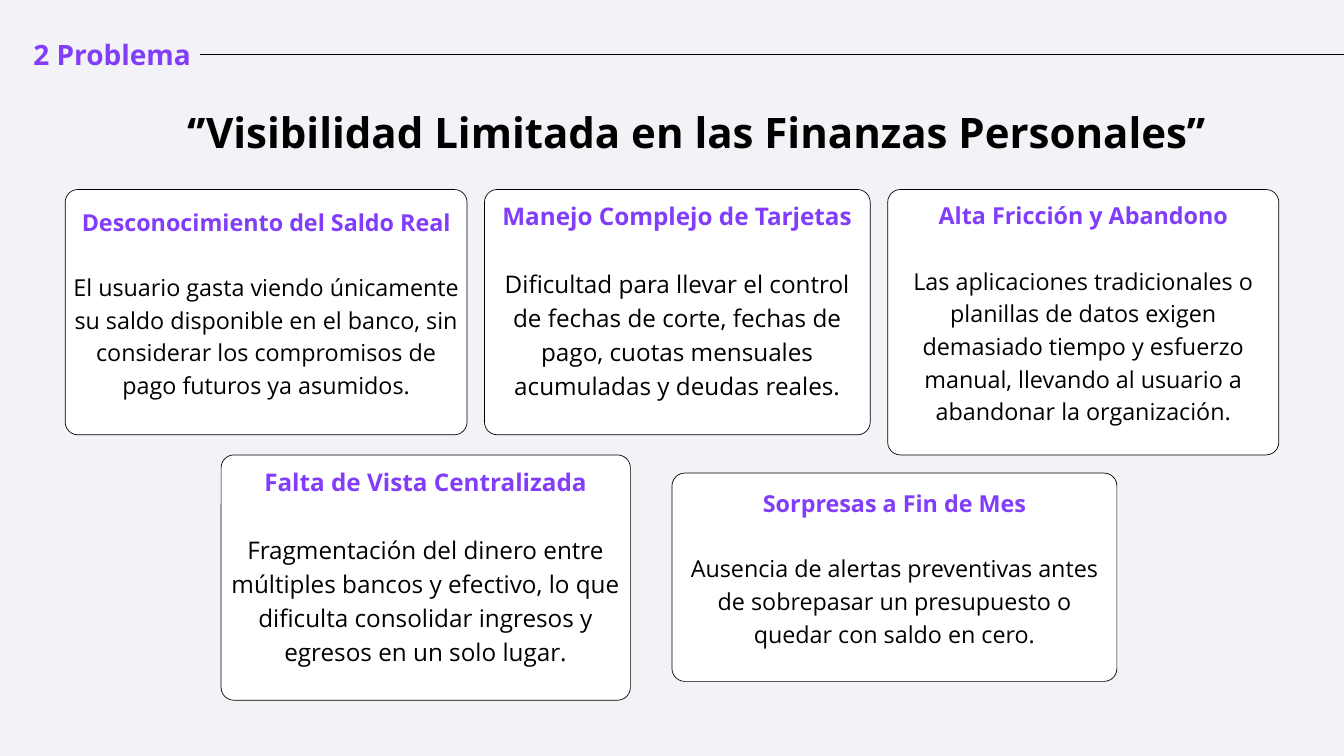
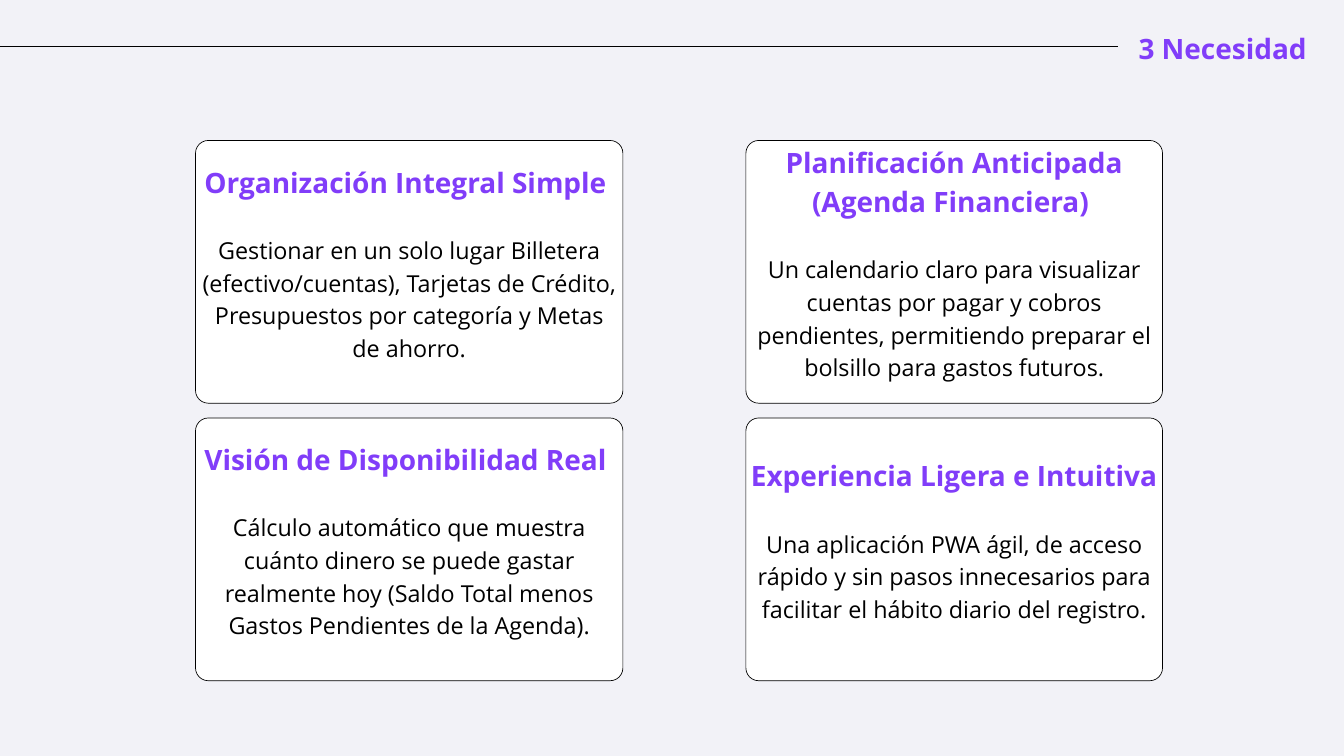
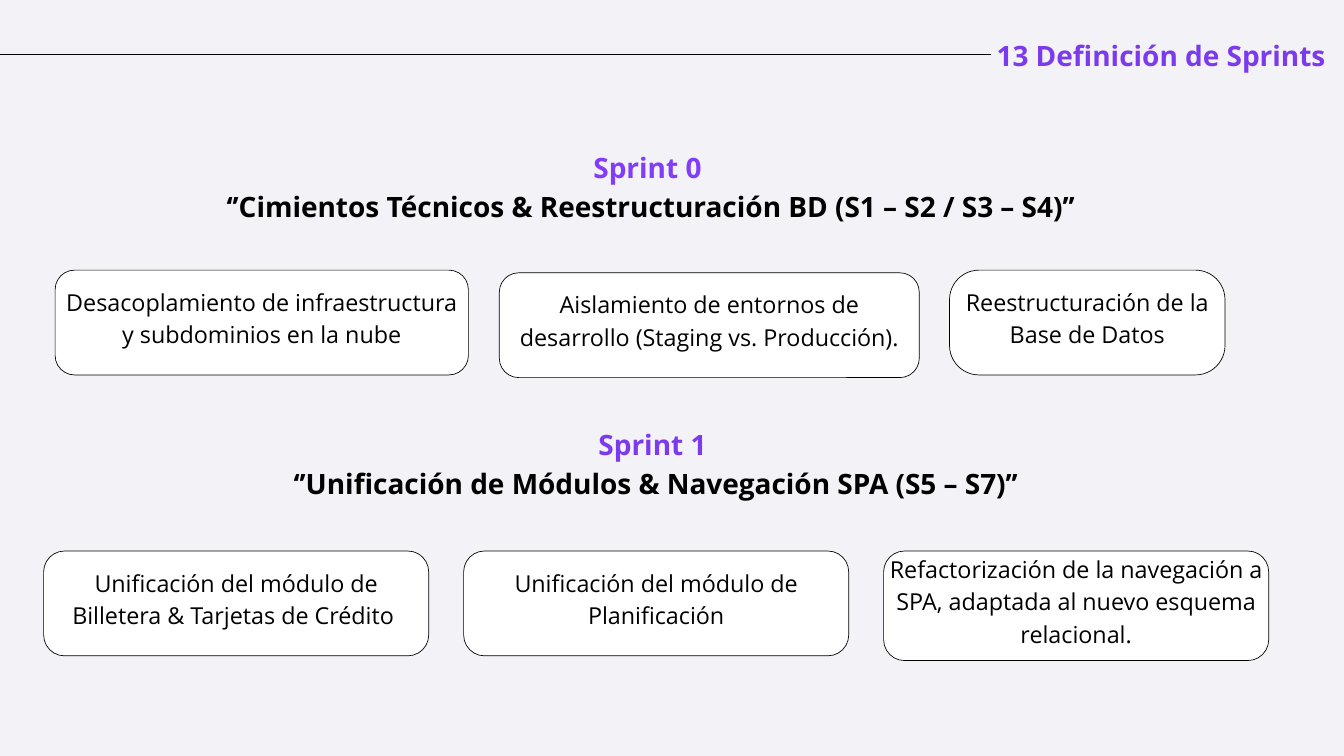
"""Builds three slides on a personal finance app: problem, need and sprints."""
from lxml.etree import SubElement
from pptx import Presentation
from pptx.dml.color import RGBColor
from pptx.enum.shapes import MSO_CONNECTOR as Link, MSO_SHAPE as Shape
from pptx.enum.text import MSO_ANCHOR as Anchor, MSO_AUTO_SIZE as Fit, PP_ALIGN as Align
from pptx.oxml.ns import qn
from pptx.util import Inches, Pt

UNIT = Inches(0.25)
COLS, ROWS = 80, 45
FONT = "Open Sans"
BACK, WHITE, BLACK = "F2F2F7", "FFFFFF", "000000"
VIOLET, GRAPE = "813DF9", "7C3AED"
hue = RGBColor.from_string


def write(frame, lines, align=Align.CENTER, pads=(0, 0, 0, 0), anchor=Anchor.TOP):
    """Fill a frame with lines of (text, size, colour, bold, gap before in lines)."""
    frame.word_wrap, frame.auto_size = True, Fit.NONE
    frame.vertical_anchor = anchor
    frame.margin_left, frame.margin_top, frame.margin_right, frame.margin_bottom = pads
    frame.text = "\n".join(line[0] for line in lines)
    for para, (_, size, tint, bold, gap) in zip(frame.paragraphs, lines):
        para.alignment = align
        para.line_spacing = Pt(1.4 * size)
        para.space_before = Pt(1.4 * size * gap)
        for run in para.runs:
            font = run.font
            font.name, font.size, font.bold = FONT, Pt(size), bold
            font.color.rgb = hue(tint)


def card(slide, box, lines, curve, lift):
    """Draw a white rounded card whose centred text sits a little high."""
    left, top, wide, high = box
    tile = slide.shapes.add_shape(Shape.ROUNDED_RECTANGLE, *[int(n * UNIT) for n in box])
    tile.shadow.inherit = False
    tile.adjustments[0] = curve / min(wide, high)
    tile.fill.solid()
    tile.fill.fore_color.rgb = hue(WHITE)
    tile.line.color.rgb = hue(BLACK)
    tile.line.width = Pt(0.75)
    write(tile.text_frame, lines, pads=(0, 0, 0, int(lift * UNIT)), anchor=Anchor.MIDDLE)


deck = Presentation()
deck.slide_width, deck.slide_height = COLS * UNIT, ROWS * UNIT
back = deck.slide_master.background.fill
back.solid()
back.fore_color.rgb = hue(BACK)

heads = [
    ("2 Problema", (1.84, 1.92, 9.68, 2.24), Align.CENTER, VIOLET, (11.88, COLS, 3.24)),
    ("3 Necesidad", (67.44, 1.52, 10.68, 2.24), Align.CENTER, VIOLET, (0, 66.56, 2.76)),
    ("13 Definición de Sprints", (59.32, 1.96, 20.28, 2.24), Align.LEFT, GRAPE,
     (0, 58.96, 3.24)),
]
slides = []
for text, box, align, tint, (start, end, row) in heads:
    slide = deck.slides.add_slide(deck.slide_layouts[5])
    title = slide.shapes.title
    title.left, title.top, title.width, title.height = [int(n * UNIT) for n in box]
    write(title.text_frame, [(text, 30, tint, True, 0)], align)
    rule = slide.shapes.add_connector(
        Link.STRAIGHT, *[int(n * UNIT) for n in (start, row, end, row)])
    rule.line.color.rgb = hue(BLACK)
    rule.line.width = Pt(1.5)
    SubElement(rule._element.spPr, qn("a:effectLst"))
    slides.append(slide)
issue, need, plan = slides

quote = issue.shapes.add_textbox(*[int(n * UNIT) for n in (10.32, 5.84, 62.28, 3.36)])
write(quote.text_frame,
      [("‘’Visibilidad Limitada en las Finanzas Personales’’", 45, BLACK, True, 0)])
pains = [
    ((3.88, 11.28, 23.92, 14.6), 25, 1.32, "Desconocimiento del Saldo Real",
     "El usuario gasta viendo únicamente su saldo disponible en el banco, "
     "sin considerar los compromisos de pago futuros ya asumidos."),
    ((28.84, 11.28, 22.96, 14.6), 26, 1.6, "Manejo Complejo de Tarjetas",
     "Dificultad para llevar el control de fechas de corte, fechas de pago, "
     "cuotas mensuales acumuladas y deudas reales."),
    ((52.84, 11.28, 23.28, 15.8), 25, 1.32, "Alta Fricción y Abandono",
     "Las aplicaciones tradicionales o planillas de datos exigen demasiado tiempo "
     "y esfuerzo manual, llevando al usuario a abandonar la organización."),
    ((13.16, 27.08, 24.36, 14.6), 26, 1.6, "Falta de Vista Centralizada",
     "Fragmentación del dinero entre múltiples bancos y efectivo, lo que "
     "dificulta consolidar ingresos y egresos en un solo lugar."),
    ((40, 28.16, 26.48, 12.4), 25, 1.32, "Sorpresas a Fin de Mes",
     "Ausencia de alertas preventivas antes de sobrepasar un presupuesto "
     "o quedar con saldo en cero."),
]
for box, size, lift, name, text in pains:
    card(issue, box, [(name, size, VIOLET, True, 0), (text, size, BLACK, False, 1)],
         0.76, lift)

goals = [
    ("Organización Integral Simple ",
     "Gestionar en un solo lugar Billetera (efectivo/cuentas), Tarjetas de Crédito, "
     "Presupuestos por categoría y Metas de ahorro."),
    ("Planificación Anticipada (Agenda Financiera) ",
     "Un calendario claro para visualizar cuentas por pagar y cobros pendientes, "
     "permitiendo preparar el bolsillo para gastos futuros."),
    ("Visión de Disponibilidad Real ",
     "Cálculo automático que muestra cuánto dinero se puede gastar realmente hoy "
     "(Saldo Total menos Gastos Pendientes de la Agenda)."),
    ("Experiencia Ligera e Intuitiva",
     "Una aplicación PWA ágil, de acceso rápido y sin pasos innecesarios "
     "para facilitar el hábito diario del registro."),
]
sides = [(11.64, 25.44), (44.4, 24.8)]
for i, (name, text) in enumerate(goals):
    left, wide = sides[i % 2]
    card(need, (left, 8.36 + 16.52 * (i // 2), wide, 15.64),
         [(name, 30, VIOLET, True, 0), (text, 25, BLACK, False, 1)], 0.76, 1.32)

sprints = [
    ((8.84, 8.6, 59.84, 4.6), VIOLET, "Sprint 0 ",
     "‘’Cimientos Técnicos & Reestructuración BD (S1 – S2 / S3 – S4)’’"),
    ((9.4, 25.12, 59.32, 4.6), GRAPE, "Sprint 1 ",
     "‘’Unificación de Módulos & Navegación SPA (S5 – S7)’’"),
]
for box, tint, name, text in sprints:
    label = plan.shapes.add_textbox(*[int(n * UNIT) for n in box])
    write(label.text_frame, [(name, 30, tint, True, 0), (text, 30, BLACK, True, 0)])

tasks = [
    ((3.28, 16.08, 24.6, 6.24), 1.16,
     "Desacoplamiento de infraestructura y subdominios en la nube"),
    ((29.72, 16.24, 25, 6.24), 1.16,
     "Aislamiento de entornos de desarrollo (Staging vs. Producción)."),
    ((56.52, 16.08, 16.4, 6.24), 1.76, "Reestructuración de la Base de Datos"),
]
merges = [
    (6.24, "Unificación del módulo de Billetera & Tarjetas de Crédito "),
    (6.24, "Unificación del módulo de Planificación"),
    (6.52, "Refactorización de la navegación a SPA, adaptada al nuevo esquema relacional."),
]
for i, (high, text) in enumerate(merges):
    tasks.append(((2.6 + 25 * i, 32.8, 22.92, high), 1.24, text))
for box, curve, text in tasks:
    card(plan, box, [(text, 25, BLACK, False, 0)], curve, 0.8)

deck.save("out.pptx")
